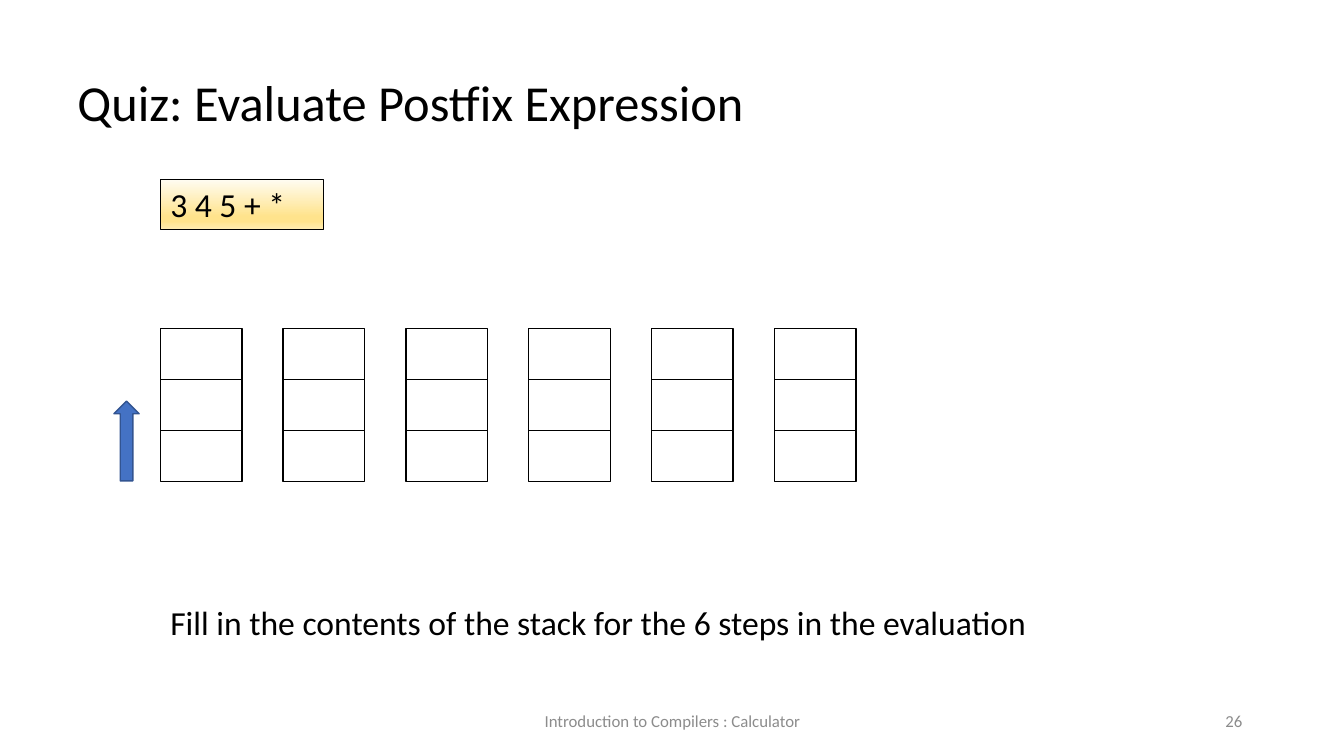
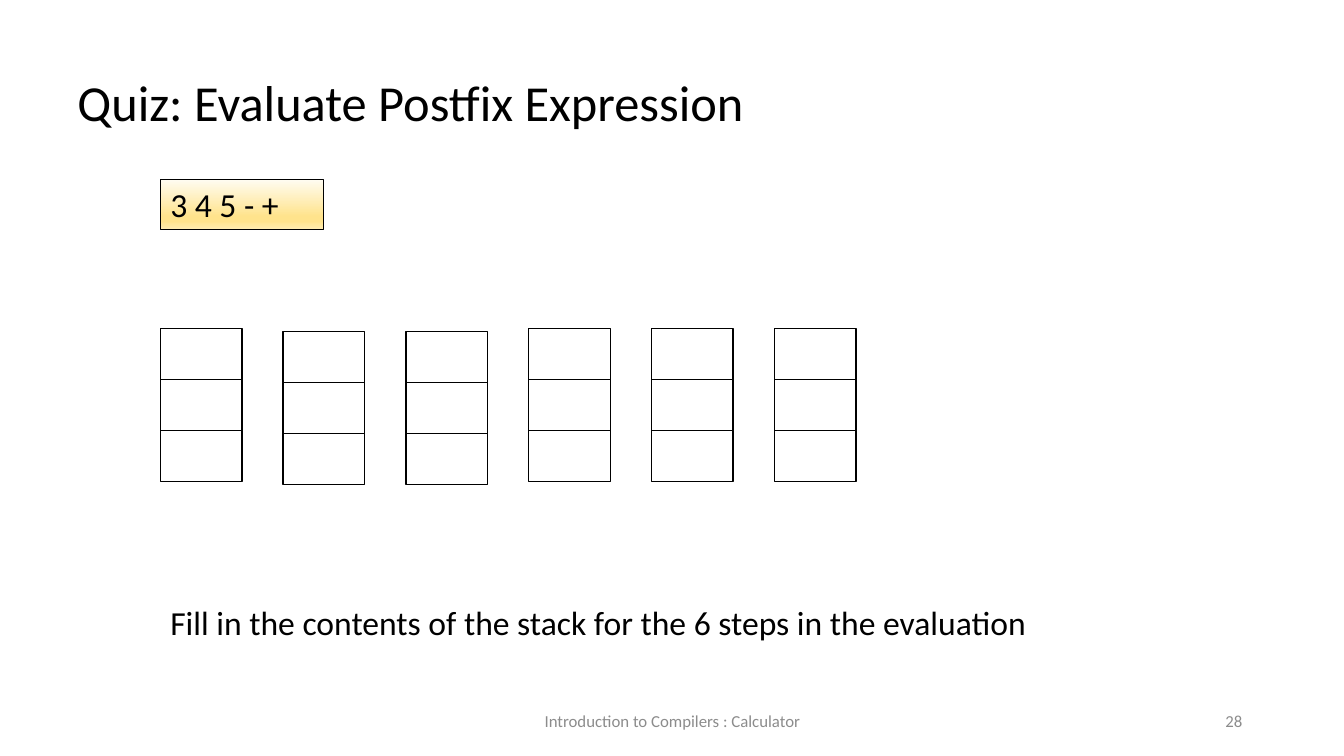
from lxml import etree
from pptx import Presentation
from pptx.dml.color import RGBColor
from pptx.enum.shapes import MSO_SHAPE
from pptx.enum.text import MSO_ANCHOR, PP_ALIGN
from pptx.oxml.ns import qn
from pptx.util import Inches, Pt

RECTANGLE, UP_ARROW = MSO_SHAPE.RECTANGLE, MSO_SHAPE.UP_ARROW
LEFT, CENTER, RIGHT = PP_ALIGN.LEFT, PP_ALIGN.CENTER, PP_ALIGN.RIGHT
TOP, MIDDLE = MSO_ANCHOR.TOP, MSO_ANCHOR.MIDDLE

FONT = "Calibri"
BLACK, GREY = "000000", "8C8C8C"
ARROW_FILL, ARROW_LINE = "4472C4", "325491"
GOLD_STOPS = [(0, "FFFCF2"), (74, "FFE38C"), (83, "FFE38C"), (100, "FFECB2")]

TITLE = "Quiz: Evaluate Postfix Expression"
TASK = "Fill in the contents of the stack for the 6 steps in the evaluation"
FOOTER = "Introduction to Compilers : Calculator"

MARGIN = 1.59
STEPS, DEPTH = 6, 3
STACK_TOP = 3.26
CELL_WIDTH = 0.81
CELL_HEIGHT = (4.27 - STACK_TOP) / (DEPTH - 1)
STEP_PITCH = (7.68 - MARGIN) / (STEPS - 1)


def color(value):
    """Turn a hex string into a colour."""
    return RGBColor.from_string(value)


class Deck:
    """Hold the presentation, its style and the current slide."""

    def __init__(self):
        """Start an empty widescreen presentation."""
        self.presentation = Presentation()
        self.presentation.slide_width = Inches(13.33)
        self.presentation.slide_height = Inches(7.5)
        self.slide = None

    def add_slide(self, number):
        """Add a slide with its title, task and footers."""
        layout = self.presentation.slide_layouts[6]
        self.slide = self.presentation.slides.add_slide(layout)
        self.text(FOOTER, 4.42, 6.95, 4.5, 0.4, 12, GREY, CENTER, MIDDLE)
        self.text(str(number), 9.42, 6.95, 3, 0.4, 12, GREY, RIGHT, MIDDLE)
        self.text(TITLE, 0.67, 0.66, 11.41, 0.71, 36)
        self.text(TASK, MARGIN, 5.92, 9.42, 0.5, 24)

    def set_text(self, shape, text, size, font_color=BLACK, align=LEFT, anchor=TOP):
        """Put one styled paragraph into a shape."""
        frame = shape.text_frame
        frame.word_wrap = True
        frame.vertical_anchor = anchor
        paragraph = frame.paragraphs[0]
        paragraph.text = text
        paragraph.alignment = align
        paragraph.font.name = FONT
        paragraph.font.size = Pt(size)
        paragraph.font.color.rgb = color(font_color)

    def text(self, text, left, top, width, height, size, *style):
        """Add a text box."""
        box = self.slide.shapes.add_textbox(
            Inches(left), Inches(top), Inches(width), Inches(height))
        self.set_text(box, text, size, *style)

    def shape(self, kind, left, top, width, height,
              fill=None, line=BLACK, line_width=1):
        """Add an outlined shape, unfilled unless a colour is given."""
        shape = self.slide.shapes.add_shape(
            kind, Inches(left), Inches(top), Inches(width), Inches(height))
        shape.shadow.inherit = False
        if fill:
            shape.fill.solid()
            shape.fill.fore_color.rgb = color(fill)
        else:
            shape.fill.background()
        shape.line.color.rgb = color(line)
        shape.line.width = Pt(line_width)
        return shape

    def expression(self, text):
        """Add the golden box with the postfix expression."""
        box = self.shape(RECTANGLE, MARGIN, 1.78, 1.62, 0.5, line_width=0.75)
        box.fill.gradient()
        box.fill.gradient_angle = 270
        stops = box.element.spPr.find(qn("a:gradFill")).find(qn("a:gsLst"))
        for stop in list(stops):
            stops.remove(stop)
        for percent, value in GOLD_STOPS:
            stop = etree.SubElement(stops, qn("a:gs"), pos=str(percent * 1000))
            etree.SubElement(stop, qn("a:srgbClr"), val=value)
        self.set_text(box, text, 24)

    def stacks(self, lowered=()):
        """Add one empty stack per step; lowered steps sit slightly deeper."""
        for step in range(STEPS):
            top = STACK_TOP + (0.03 if step in lowered else 0)
            for level in range(DEPTH):
                self.shape(RECTANGLE, MARGIN + step * STEP_PITCH,
                           top + level * CELL_HEIGHT, CELL_WIDTH, CELL_HEIGHT)

    def growth_arrow(self):
        """Add the arrow that shows which way the stack grows."""
        self.shape(UP_ARROW, 1.13, 3.98, 0.25, 0.79, ARROW_FILL, ARROW_LINE)


deck = Deck()

deck.add_slide(26)
deck.expression("3 4 5 + *")
deck.stacks()
deck.growth_arrow()

deck.add_slide(28)
deck.expression("3 4 5 - +")
deck.stacks(lowered=(1, 2))

deck.presentation.save("out.pptx")
